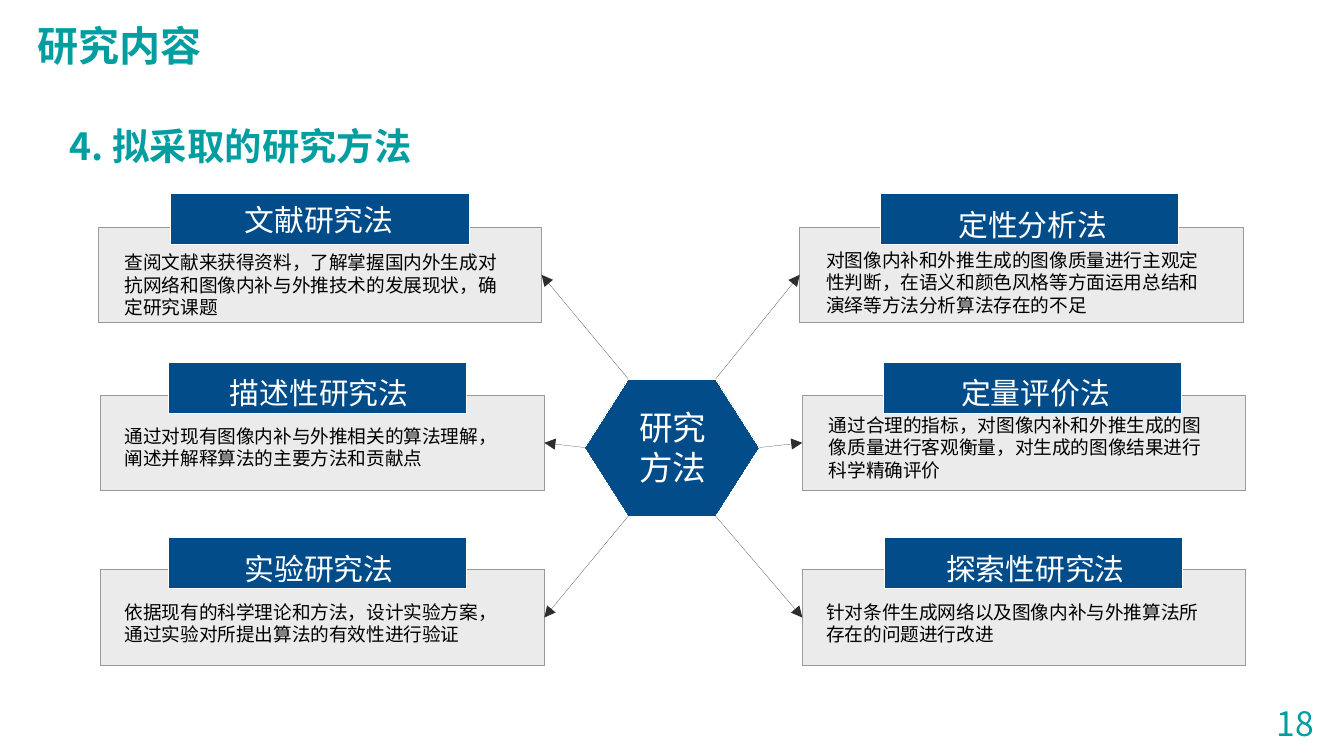
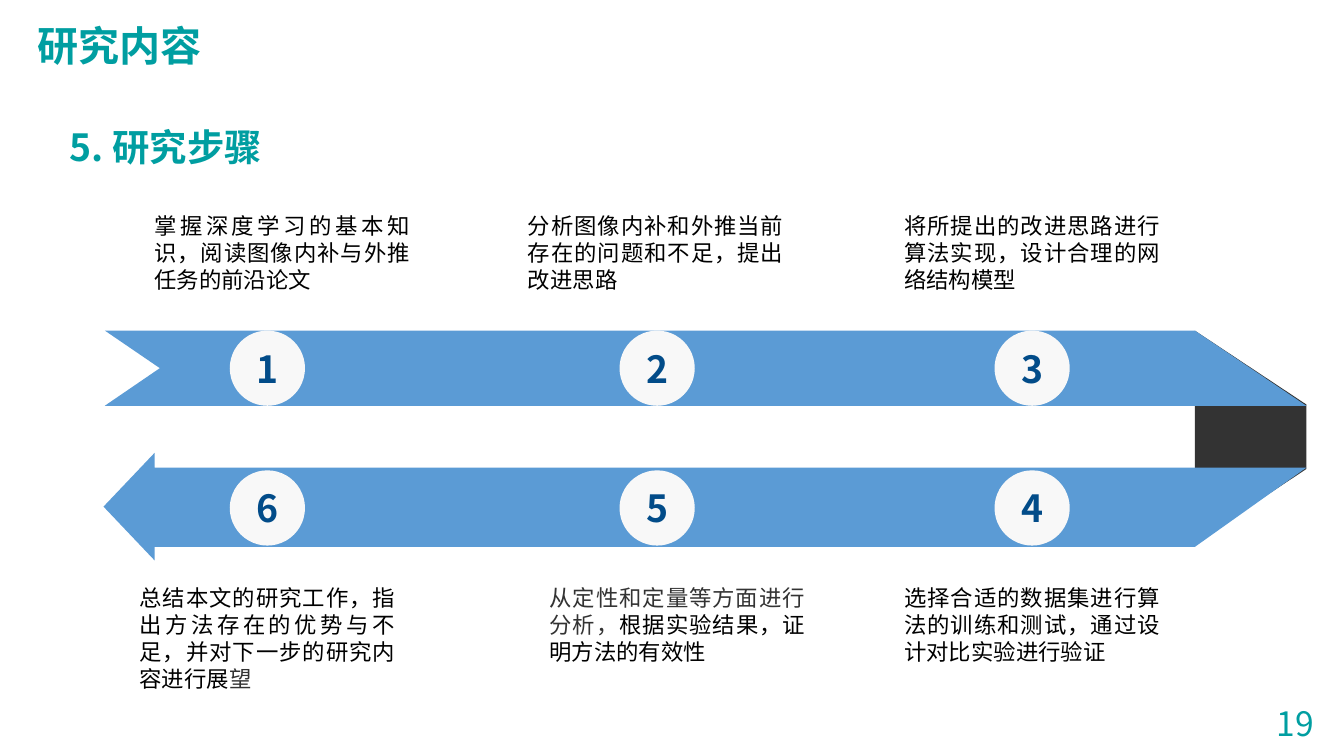
import pptx
import pptx.dml.color
import pptx.enum.shapes
import pptx.enum.text
import pptx.oxml.ns
import pptx.util
from lxml import etree

Inch, Pt = pptx.util.Inches, pptx.util.Pt
KIND = pptx.enum.shapes.MSO_SHAPE
ALIGN = pptx.enum.text.PP_ALIGN
ANCHOR = pptx.enum.text.MSO_ANCHOR
FIT = pptx.enum.text.MSO_AUTO_SIZE
qn = pptx.oxml.ns.qn

WIDE = 10
HIGH = WIDE * 9 / 16
TEAL, NAVY, BLUE = "009EA1", "024C89", "5B9BD5"
WHITE, PALE, DISC = "FFFFFF", "EBEBEB", "F8F8F8"
EDGE, WIRE, DARK, BLACK = "999999", "2E2C2C", "333333", "000000"
NOTO, CALI, ARIAL = "Noto Sans CJK SC", "Calibri", "Arial"

TOPIC = "研究内容"
HEADS = [("4. 拟采取的研究方法", 18, 0.7), ("5. 研究步骤", 19, 0.71)]

# Each method: name, name font, name top below the tab's top,
# text, text font, text top below the card's top
LEFT = [
    ("文献研究法", CALI, 0.01, "查阅文献来获得资料，了解掌握国内外生成对抗网络和图像内补与外推技术的发展现状，确定研究课题", CALI, 0.13),
    ("描述性研究法", CALI, 0.04, "通过对现有图像内补与外推相关的算法理解，阐述并解释算法的主要方法和贡献点", CALI, 0.17),
    ("实验研究法", ARIAL, 0.05, "依据现有的科学理论和方法，设计实验方案，通过实验对所提出算法的有效性进行验证", ARIAL, 0.18),
]
RIGHT = [
    ("定性分析法", ARIAL, 0.05, "对图像内补和外推生成的图像质量进行主观定性判断，在语义和颜色风格等方面运用总结和演绎等方法分析算法存在的不足", CALI, 0.11),
    ("定量评价法", ARIAL, 0.04, "通过合理的指标，对图像内补和外推生成的图像质量进行客观衡量，对生成的图像结果进行科学精确评价", CALI, 0.09),
    ("探索性研究法", CALI, 0.05, "针对条件生成网络以及图像内补与外推算法所存在的问题进行改进", CALI, 0.18),
]
ROWS = [(1.69, 1.44), (2.94, 2.7), (4.24, 4)]  # card top, tab top
# Per side: card lefts, tab lefts, name lefts, text lefts, joined card side
SIDES = [
    (LEFT, [0.73, 0.75, 0.75], [1.27, 1.25, 1.25], [1.41] * 3, [0.83] * 3, 3),
    (RIGHT, [5.95, 5.97, 5.97], [6.55, 6.57, 6.58], [6.72, 6.74, 6.74], [6.05, 6.07, 6.05], 1),
]
CARD, TAB = (3.3, 0.71), (2.22, 0.38)
HUB = (4.35, 2.82, 1.3, 1.02)

# Each step: text left, then its runs as (text, font, colour)
STEPS = [
    (1.05, [("掌握深度学习的基本知识，阅读图像内补与外推任务的前沿论文", CALI, BLACK)]),
    (3.83, [("分析图像内补和外推当前存在的问题和不足，提出改进思路", CALI, BLACK)]),
    (6.63, [("将所提出的改进思路进行算法实现，设计合理的网络结构模型", CALI, BLACK)]),
    (6.63, [("选择合适的数据集进行算法的训练和测试，通过设计对比实验进行验证", CALI, BLACK)]),
    (3.99, [("从定性和定量等方面进行分析，", NOTO, DARK),
            ("根据实验结果，证明方法的有效性", CALI, BLACK)]),
    (0.94, [("总结本文的研究工作，指出方法存在的优势与不足，并对下一步的研究内容进行展", CALI, BLACK),
            ("望", NOTO, DARK)]),
]
DOTS, SIZE = [1.71, 4.61, 7.4], 0.56
LANES = [(2.46, 1.53), (3.5, 4.3)]  # disc top, text top
BANDS = [
    (DARK, [(9.72, 3.01), (9.72, 3.49), (8.89, 4.04), (8.89, 2.46)]),
    (BLUE, [(1.15, 3.48), (9.72, 3.48), (8.89, 4.07), (1.15, 4.07),
            (1.15, 4.17), (0.77, 3.77), (1.15, 3.37)]),
    (BLUE, [(0.78, 2.46), (8.89, 2.46), (9.72, 3.02), (0.78, 3.02), (1.19, 2.74)]),
]


def hue(code):
    return pptx.dml.color.RGBColor.from_string(code)


def apply(item, form):
    for name, value in form.items():
        setattr(item, name, value)


def place(item, box):
    apply(item, dict(zip(("left", "top", "width", "height"), map(Inch, box))))


def write(shape, runs, size, align=ALIGN.LEFT, bold=False, frame=None, para=None):
    """Fill a shape's one paragraph with (text, font, colour) runs."""
    apply(shape.text_frame, {"word_wrap": True, "vertical_anchor": ANCHOR.TOP,
                             "auto_size": FIT.SHAPE_TO_FIT_TEXT, **(frame or {})})
    line = shape.text_frame.paragraphs[0]
    apply(line, {"alignment": align, **(para or {})})
    props = line._p.get_or_add_pPr()
    props.set("hangingPunct", "0")
    for text, face, code in runs:
        run = line.add_run()
        run.text = text
        apply(run.font, {"size": Pt(size), "bold": bold, "name": face})
        run.font.color.rgb = hue(code)
        east = etree.SubElement(run.font._element, qn("a:ea"))
        east.set("typeface", NOTO)
    return props


def label(slide, box, runs, size, **more):
    shape = slide.shapes.add_textbox(*map(Inch, box))
    write(shape, runs, size, **more)


def hair(shape, code):
    """Give a shape the thinnest line and return that line's XML."""
    shape.line.color.rgb = hue(code)
    line = shape._element.spPr.find(qn("a:ln"))
    line.set("w", "0")
    return line


def paint(shape, fill, edge=None):
    shape.shadow.inherit = False
    shape.fill.solid()
    shape.fill.fore_color.rgb = hue(fill)
    if edge:
        hair(shape, edge)
    else:
        shape.line.fill.background()
    return shape


def block(slide, kind, box, fill, edge=None):
    return paint(slide.shapes.add_shape(kind, *map(Inch, box)), fill, edge)


def outline(slide, dots, fill, edge=None):
    first, *rest = [(Inch(x), Inch(y)) for x, y in dots]
    pen = slide.shapes.build_freeform(*first)
    pen.add_line_segments(rest, close=True)
    return paint(pen.convert_to_shape(), fill, edge)


def arrow(slide, start, card, side):
    """Draw an arrow from a point to the middle of a card's side."""
    x, y = map(Inch, start)
    wire = slide.shapes.add_connector(pptx.enum.shapes.MSO_CONNECTOR.STRAIGHT, x, y, x, y)
    wire.end_connect(card, side)
    etree.SubElement(hair(wire, WIRE), qn("a:tailEnd")).set("type", "triangle")
    etree.SubElement(wire._element.spPr, qn("a:effectLst"))


def page(deck, head, number, top):
    slide = deck.slides.add_slide(deck.slide_layouts[1])
    title, body = slide.placeholders
    flat = {"space_before": Pt(0)}
    place(title, (0.18, 0.1, 1.42, 0.47))
    write(title, [(TOPIC, NOTO, TEAL)], 22, bold=True, frame={"word_wrap": False}, para=flat)
    place(body, (0.42, top, 9.25, 0.6))
    props = write(body, [(head, NOTO, TEAL)], 20, ALIGN.JUSTIFY, True,
                  para={**flat, "line_spacing": 1.5, "space_after": Pt(12)})
    for name in ("marL", "indent"):
        props.set(name, "0")
    etree.SubElement(props, qn("a:buNone"))
    label(slide, (9.4, 5.18, 0.5, 0.4), [(str(number), NOTO, TEAL)], 18,
          frame={"word_wrap": False})
    return slide


def methods(slide):
    x, y, w, h = HUB
    near, far, mid, end = x + w / 4, x + w * 3 / 4, y + h / 2, y + h
    outline(slide, [(near, y), (far, y), (x + w, mid), (far, end), (near, end), (x, mid)],
            NAVY, WHITE)
    label(slide, (4.6, 2.98, 0.81, 0.7), [("研究方法", NOTO, WHITE)], 18, align=ALIGN.CENTER)
    for items, cards, tabs, names, texts, side in SIDES:
        waist, tip = (near, x) if side == 3 else (far, x + w)
        starts = [(waist, y), (tip, mid), (waist, end)]
        for row, (name, face, dip, text, font, drop) in enumerate(items):
            top, peak = ROWS[row]
            card = block(slide, KIND.RECTANGLE, (cards[row], top, *CARD), PALE, EDGE)
            block(slide, KIND.RECTANGLE, (tabs[row], peak, *TAB), NAVY, WHITE)
            label(slide, (names[row], peak + dip, 1.93, 0.37), [(name, face, WHITE)], 16,
                  align=ALIGN.CENTER)
            label(slide, (texts[row], top + drop, 3.1, 0.6 if len(text) > 40 else 0.44),
                  [(text, font, BLACK)], 10)
            arrow(slide, starts[row], card, side)


def steps(slide):
    for fill, dots in BANDS:
        outline(slide, dots, fill)
    for i, (left, runs) in enumerate(STEPS):
        lane, col = divmod(i, len(DOTS))
        top, high = LANES[lane]
        spot = DOTS[-1 - col if lane else col]
        disc = block(slide, KIND.OVAL, (spot, top, SIZE, SIZE), DISC)
        write(disc, [(str(i + 1), NOTO, NAVY)], 20, ALIGN.CENTER, True,
              frame={"vertical_anchor": ANCHOR.MIDDLE, "auto_size": FIT.NONE})
        tall = 0.9 if i == len(STEPS) - 1 else 0.7
        label(slide, (left, high, 2.1, tall), runs, 12, align=ALIGN.JUSTIFY)


def main():
    deck = pptx.Presentation()
    deck.slide_width, deck.slide_height = Inch(WIDE), Inch(HIGH)
    for head, draw in zip(HEADS, (methods, steps)):
        draw(page(deck, *head))
    deck.save("out.pptx")


if __name__ == "__main__":
    main()
